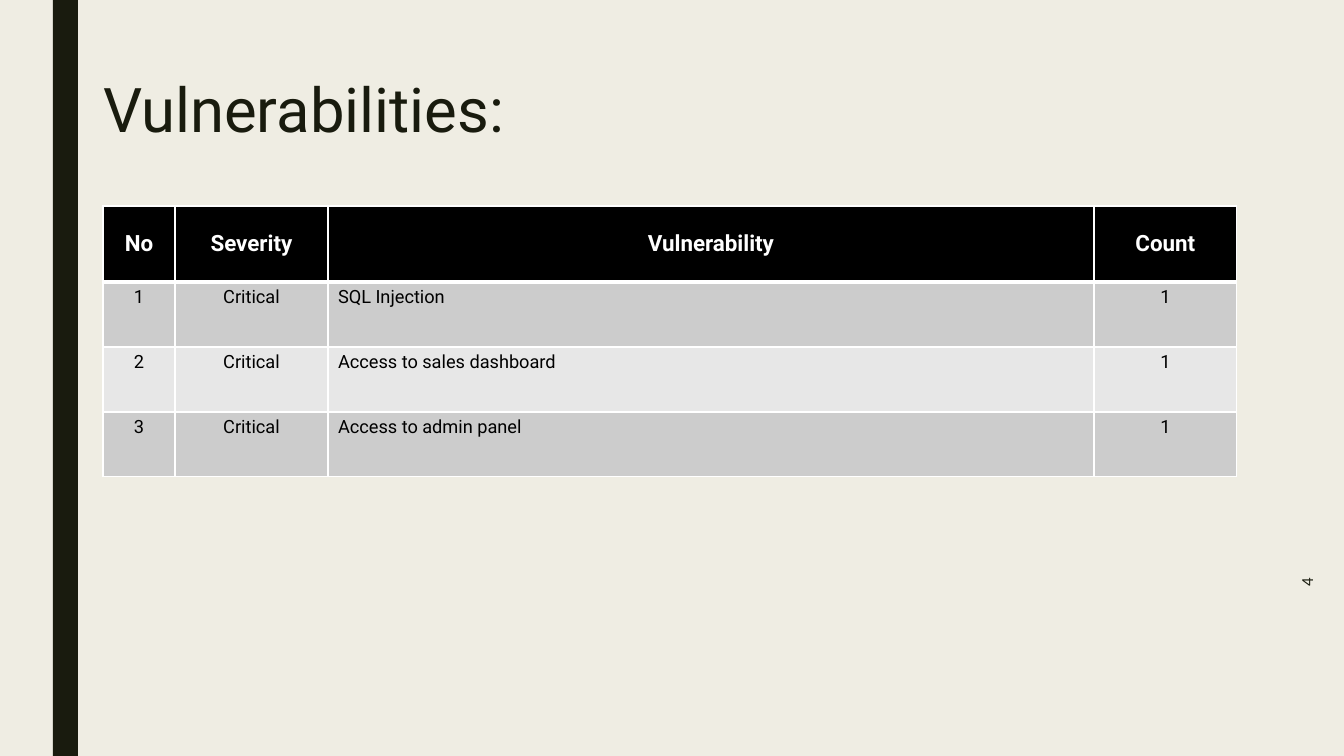
from lxml import etree
from pptx import Presentation
from pptx.dml.color import RGBColor
from pptx.enum.shapes import MSO_SHAPE
from pptx.enum.text import MSO_ANCHOR, PP_ALIGN
from pptx.oxml.ns import qn
from pptx.util import Pt

RECT = MSO_SHAPE.RECTANGLE
MIDDLE, TOP = MSO_ANCHOR.MIDDLE, MSO_ANCHOR.TOP
LEFT, CENTER, RIGHT = PP_ALIGN.LEFT, PP_ALIGN.CENTER, PP_ALIGN.RIGHT
SCALE = 914400 / 100.8
COLORS = {"paper": "EFEDE3", "ink": "191B0E", "black": "000000",
          "white": "FFFFFF", "dark": "CCCCCC", "light": "E7E7E7"}


def px(*sizes):
    return [round(size * SCALE) for size in sizes]


def style(frame, align, size, color, font="Roboto", bold=False):
    para = frame.paragraphs[0]
    para.alignment = align
    face = para.runs[0].font
    face.name, face.size, face.bold = font, Pt(size), bold
    face.color.rgb = RGBColor.from_string(COLORS[color])


prs = Presentation()
prs.slide_width, prs.slide_height = px(1344, 756)
slide = prs.slides.add_slide(prs.slide_layouts[5])
back = slide.background.fill
back.solid()
back.fore_color.rgb = RGBColor.from_string(COLORS["paper"])

# Side bar
bar = slide.shapes.add_shape(RECT, *px(53, 0, 25, 756))
bar.shadow.inherit = False
bar.fill.solid()
bar.fill.fore_color.rgb = RGBColor.from_string(COLORS["ink"])
bar.line.fill.background()

# Title
title = slide.shapes.title
title.left, title.top, title.width, title.height = px(93, 40, 1159, 146)
frame = title.text_frame
frame.text = "Vulnerabilities:"
frame.vertical_anchor = MIDDLE
frame.paragraphs[0].line_spacing = 0.9
style(frame, LEFT, 44, "ink")

# Page number
page = slide.shapes.add_textbox(*px(1234, 616, 145, 50))
page.rotation = 270
frame = page.text_frame
frame.word_wrap = True
frame.text = "4"
frame.vertical_anchor = MIDDLE
style(frame, RIGHT, 12, "ink", "Calibri")

# Table
rows = [("No", "Severity", "Vulnerability", "Count"),
        ("1", "Critical", "SQL Injection", "1"),
        ("2", "Critical", "Access to sales dashboard", "1"),
        ("3", "Critical", "Access to admin panel", "1")]
widths, heights = px(72, 153, 766, 143), px(76, 65, 65, 65)
table = slide.shapes.add_table(len(rows), len(widths), *px(103, 206, 1134, 271)).table
for col, width in zip(table.columns, widths):
    col.width = width
for row, height in zip(table.rows, heights):
    row.height = height

for r, row in enumerate(rows):
    head = r == 0
    shade = "black" if head else "dark" if r % 2 else "light"
    for c, text in enumerate(row):
        cell = table.cell(r, c)
        cell.text_frame.text = text
        cell.vertical_anchor = MIDDLE if head else TOP
        align = LEFT if c == 2 and not head else CENTER
        style(cell.text_frame, align, 16 if head else 13,
              "white" if head else "black", bold=head)

        # White grid, thicker below the header
        props = cell._tc.get_or_add_tcPr()
        for side in "LRTB":
            thick = (r, side) in ((0, "B"), (1, "T"))
            line = etree.SubElement(props, qn("a:ln" + side), w=str(Pt(3 if thick else 1)))
            fill = etree.SubElement(line, qn("a:solidFill"))
            etree.SubElement(fill, qn("a:srgbClr"), val=COLORS["white"])
        cell.fill.solid()
        cell.fill.fore_color.rgb = RGBColor.from_string(COLORS[shade])

prs.save("out.pptx")
